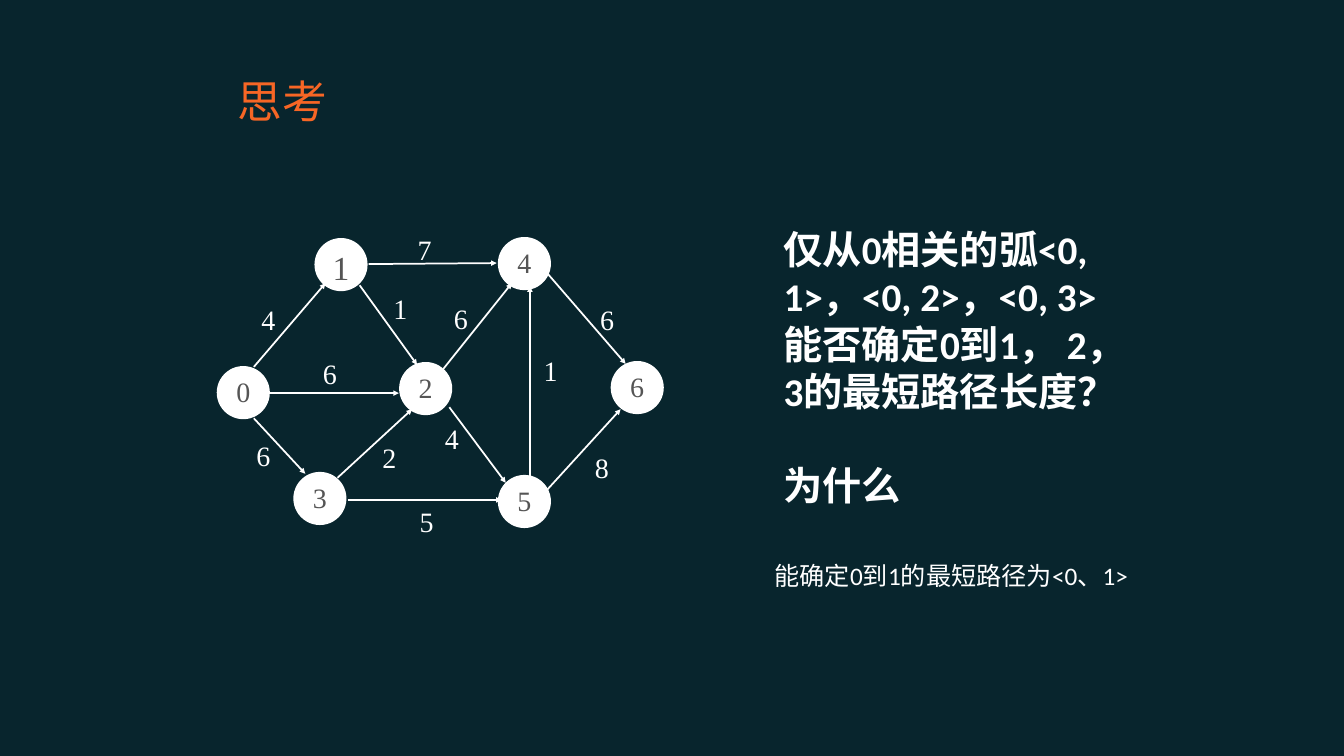
from dataclasses import dataclass

from lxml import etree
from pptx import Presentation
from pptx.dml.color import RGBColor
from pptx.enum.shapes import MSO_CONNECTOR, MSO_SHAPE
from pptx.enum.text import MSO_ANCHOR, PP_ALIGN
from pptx.oxml.ns import qn
from pptx.util import Inches, Pt

LINE, OVAL = MSO_CONNECTOR.STRAIGHT, MSO_SHAPE.OVAL
TOP, MIDDLE = MSO_ANCHOR.TOP, MSO_ANCHOR.MIDDLE
LEFT, CENTER = PP_ALIGN.LEFT, PP_ALIGN.CENTER


@dataclass(frozen=True)
class Theme:
    back: RGBColor = RGBColor(0x08, 0x25, 0x2D)
    white: RGBColor = RGBColor(0xFF, 0xFF, 0xFF)
    gray: RGBColor = RGBColor(0x55, 0x55, 0x55)
    orange: RGBColor = RGBColor(0xF7, 0x66, 0x25)
    head: str = "Arial"
    body: str = "Calibri"
    math: str = "Times New Roman"
    title: int = 32
    ask: int = 28
    note: int = 18
    first: int = 24
    digit: int = 20
    gap: int = 34
    line: float = 1.25


THEME = Theme()
NODE = 0.51  # circle diameter
TAG_W, TAG_H = 0.41, 0.37  # weight label

# Offsets within the graph box: node name -> left, top
NODES = {
    "0": (0, 1.33), "1": (0.97, 0.06), "2": (1.81, 1.29), "3": (0.76, 2.38),
    "4": (2.79, 0.05), "5": (2.79, 2.41), "6": (3.91, 1.28),
}
# Arc: tail, tip, weight, label corner
ARCS = [
    ((0.36, 1.33), (1.07, 0.5), "4", (0.3, 0.69)),
    ((0.49, 1.59), (1.8, 1.59), "6", (0.91, 1.23)),
    ((0.36, 1.84), (0.87, 2.39), "6", (0.25, 2.04)),
    ((1.41, 0.52), (1.98, 1.31), "1", (1.61, 0.58)),
    ((1.5, 0.31), (2.77, 0.3), "7", (1.85, 0)),
    ((2.24, 1.35), (2.92, 0.5), "6", (2.21, 0.68)),
    ((2.3, 1.73), (2.86, 2.48), "4", (2.12, 1.87)),
    ((1.19, 2.43), (1.93, 1.75), "2", (1.5, 2.06)),
    ((1.29, 2.65), (2.82, 2.65), "5", (1.87, 2.7)),
    ((3.28, 0.41), (4.05, 1.3), "6", (3.66, 0.69)),
    ((3.1, 2.49), (3.1, 0.53), "1", (3.1, 1.2)),
    ((3.27, 2.55), (4, 1.75), "8", (3.61, 2.16)),
]


def write(frame, lines, font, size, color, bold=False, align=LEFT,
          anchor=TOP, pad=(0.1, 0.05), wrap=True, gap=0):
    frame.word_wrap = wrap
    frame.vertical_anchor = anchor
    frame.margin_left = frame.margin_right = Inches(pad[0])
    frame.margin_top = frame.margin_bottom = Inches(pad[1])
    for i, line in enumerate(lines):
        para = frame.add_paragraph() if i else frame.paragraphs[0]
        para.alignment = align
        if i:
            para.space_before = Pt(gap)
        run = para.add_run()
        run.text = line
        run.font.name, run.font.size = font, Pt(size)
        run.font.bold = bold
        run.font.color.rgb = color


def add_text(slide, box, lines, *style, **more):
    shape = slide.shapes.add_textbox(*map(Inches, box))
    write(shape.text_frame, lines, *style, **more)


def add_arrow(slide, tail, tip):
    arrow = slide.shapes.add_connector(LINE, *map(Inches, tail + tip))
    arrow.line.color.rgb = THEME.white
    arrow.line.width = Pt(THEME.line)
    etree.SubElement(arrow.line._get_or_add_ln(), qn("a:tailEnd"),
                     type="triangle", w="sm", len="sm")
    etree.SubElement(arrow._element.spPr, qn("a:effectLst"))


def add_node(slide, x, y, name):
    node = slide.shapes.add_shape(OVAL, *map(Inches, (x, y, NODE, NODE)))
    node.shadow.inherit = False
    node.fill.solid()
    node.fill.fore_color.rgb = THEME.white
    node.line.color.rgb = THEME.white
    node.line.width = Pt(THEME.line)
    size = THEME.first if name == "1" else THEME.digit
    write(node.text_frame, [name], THEME.math, size, THEME.gray,
          align=CENTER, pad=(0, 0))


def add_graph(slide, left, top):
    def place(spot):
        return left + spot[0], top + spot[1]

    # Arcs lie below the nodes, weights above
    for tail, tip, _, _ in ARCS:
        add_arrow(slide, place(tail), place(tip))
    for name, spot in NODES.items():
        add_node(slide, *place(spot), name)
    for _, _, weight, spot in ARCS:
        add_text(slide, (*place(spot), TAG_W, TAG_H), [weight], THEME.math,
                 THEME.digit, THEME.white, align=CENTER, pad=(0, 0))


def add_title(slide, box):
    add_text(slide, box, ["思考"], THEME.head, THEME.title, THEME.orange,
             anchor=MIDDLE)


def add_panel(slide, left, top):
    # Question
    add_text(slide, (left + 0.09, top, 3.67, 3.37),
             ["仅从0相关的弧<0, 1>，<0, 2>，<0, 3>能否确定0到1， 2， 3的最短路径长度？",
              "为什么"],
             THEME.body, THEME.ask, THEME.white, bold=True, gap=THEME.gap)
    # Answer
    add_text(slide, (left, top + 3.32, 4.12, 0.4),
             ["能确定0到1的最短路径为<0、1>"],
             THEME.body, THEME.note, THEME.white, wrap=False)


def main():
    deck = Presentation()
    deck.slide_width, deck.slide_height = Inches(13.34), Inches(7.5)
    slide = deck.slides.add_slide(deck.slide_layouts[6])
    slide.background.fill.solid()
    slide.background.fill.fore_color.rgb = THEME.back
    add_title(slide, (2.26, 0.6, 7.95, 0.79))
    add_graph(slide, 2.16, 2.31)
    add_panel(slide, 7.59, 2.19)
    deck.save("out.pptx")


if __name__ == "__main__":
    main()
